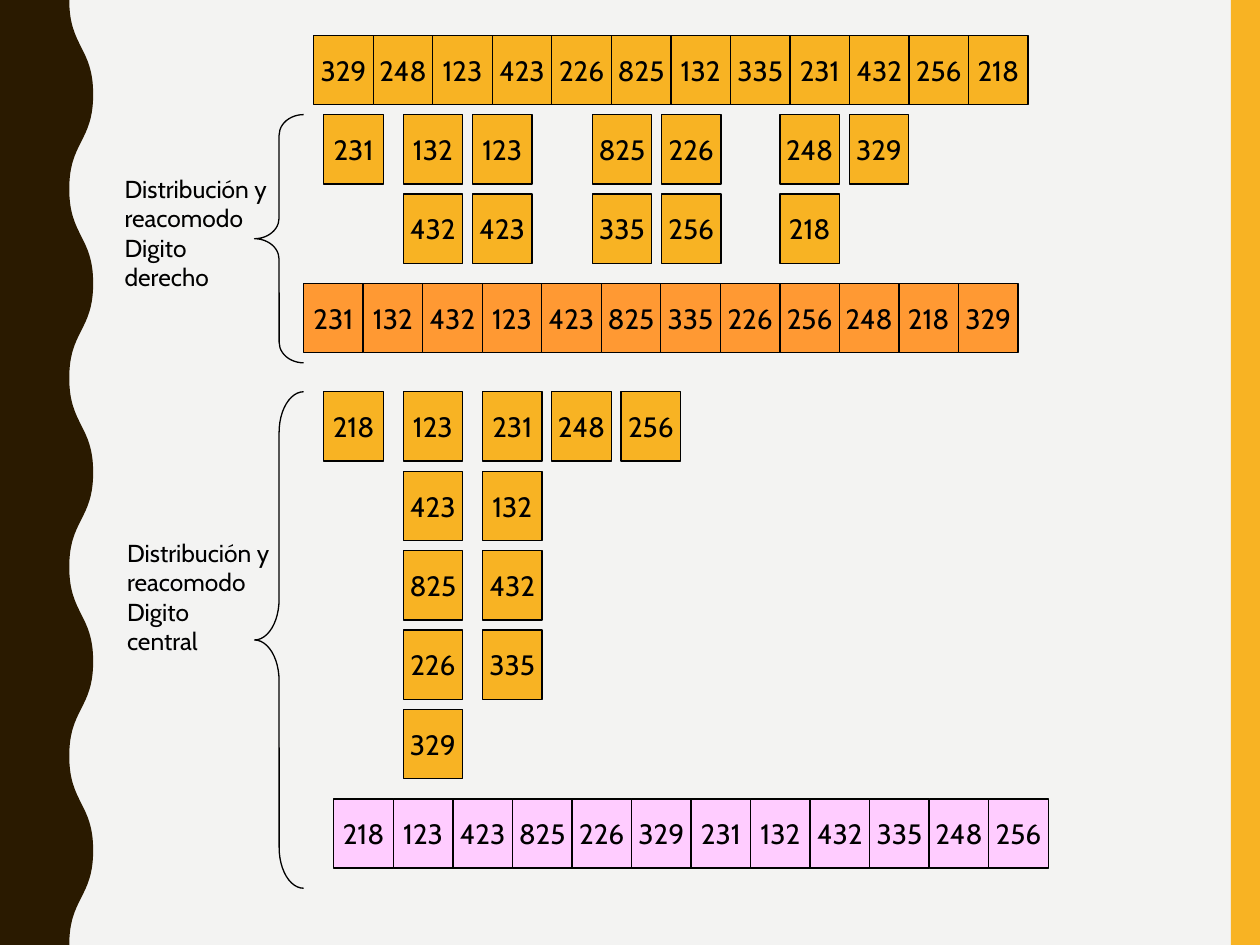
from dataclasses import dataclass
from itertools import pairwise
from typing import Any

from lxml.etree import SubElement
from pptx import Presentation
from pptx.dml.color import RGBColor
from pptx.enum.shapes import MSO_SHAPE as Preset
from pptx.enum.text import MSO_ANCHOR as Anchor, MSO_AUTO_SIZE as AutoSize, PP_ALIGN as Align
from pptx.oxml.ns import qn
from pptx.util import Inches, Pt

COLORS = {
    "background": "F3F3F2",
    "wave": "2A1A00",
    "amber": "F8B323",
    "orange": "FF9933",
    "pink": "FFCCFF",
    "ink": "000000",
}
CELL_WIDTH = 5.67 / 12
CELL_HEIGHT = 0.55
BUCKET_STEP = 0.63
BRACE_LEFT, BRACE_WIDTH = 2.02, 0.39
WAVE_VALLEY, WAVE_CREST, HALF_WAVE = 0.55, 0.74, 0.75

CELL_FRAME = {"word_wrap": False, "vertical_anchor": Anchor.MIDDLE}
LABEL_FRAME = {
    "word_wrap": True,
    "vertical_anchor": Anchor.TOP,
    "auto_size": AutoSize.SHAPE_TO_FIT_TEXT,
}
NUMBER_FONT = {"name": "Cabin", "size": Pt(16)}
LABEL_FONT = {"name": "Cabin", "size": Pt(14)}


@dataclass
class Row:
    left: float
    top: float
    color: str
    numbers: str


@dataclass
class Bucket:
    left: float
    numbers: str


@dataclass
class Label:
    left: float
    top: float
    height: float
    digit: str


@dataclass
class Stage:
    top: float
    brace_height: float
    brace_curve: float
    label: Label
    buckets: list[Bucket]
    rows: list[Row]


STAGES = [
    Stage(
        0.91, 1.97, 0.42, Label(0.89, 1.33, 1.26, "derecho"),
        [
            Bucket(2.57, "231"),
            Bucket(3.2, "132 432"),
            Bucket(3.75, "123 423"),
            Bucket(4.7, "825 335"),
            Bucket(5.25, "226 256"),
            Bucket(6.19, "248 218"),
            Bucket(6.74, "329"),
        ],
        [
            Row(2.49, 0.28, "amber", "329 248 123 423 226 825 132 335 231 432 256 218"),
            Row(2.41, 2.25, "orange", "231 132 432 123 423 825 335 226 256 248 218 329"),
        ],
    ),
    Stage(
        3.11, 3.94, 0.83, Label(0.91, 4.22, 1.03, "central"),
        [
            Bucket(2.57, "218"),
            Bucket(3.2, "123 423 825 226 329"),
            Bucket(3.83, "231 132 432 335"),
            Bucket(4.38, "248"),
            Bucket(4.93, "256"),
        ],
        [Row(2.65, 6.34, "pink", "218 123 423 825 226 329 231 132 432 335 248 256")],
    ),
]


def rgb(color: str) -> RGBColor:
    return RGBColor.from_string(COLORS[color])


def apply_format(target: Any, values: dict[str, Any]) -> None:
    for attribute, value in values.items():
        setattr(target, attribute, value)


def paint(shape: Any, color: str) -> None:
    shape.shadow.inherit = False
    shape.fill.solid()
    shape.fill.fore_color.rgb = rgb(color)
    shape.line.fill.background()


def outline(shape: Any) -> None:
    shape.line.color.rgb = rgb("ink")
    shape.line.width = Pt(0.75)


def write(paragraph: Any, text: str, font: dict[str, Any], align: Align) -> None:
    run = paragraph.add_run()
    run.text = text
    apply_format(run.font, font)
    run.font.color.rgb = rgb("ink")
    paragraph.alignment = align


def draw_cell(shapes: Any, left: float, top: float, color: str, number: str) -> None:
    cell = shapes.add_shape(
        Preset.RECTANGLE, Inches(left), Inches(top), Inches(CELL_WIDTH), Inches(CELL_HEIGHT)
    )
    paint(cell, color)
    outline(cell)
    apply_format(cell.text_frame, CELL_FRAME)
    write(cell.text_frame.paragraphs[0], number, NUMBER_FONT, Align.CENTER)


def draw_row(shapes: Any, row: Row) -> None:
    for column, number in enumerate(row.numbers.split()):
        draw_cell(shapes, row.left + column * CELL_WIDTH, row.top, row.color, number)


def draw_label(shapes: Any, label: Label) -> None:
    box = shapes.add_textbox(
        Inches(label.left), Inches(label.top), Inches(1.91), Inches(label.height)
    )
    frame = box.text_frame
    apply_format(frame, LABEL_FRAME)
    for index, text in enumerate(("Distribución y reacomodo", "Digito", label.digit)):
        paragraph = frame.add_paragraph() if index else frame.paragraphs[0]
        write(paragraph, text, LABEL_FONT, Align.LEFT)


def draw_stage(slide: Any, stage: Stage) -> None:
    shapes = slide.shapes.add_group_shape().shapes
    brace = shapes.add_shape(
        Preset.LEFT_BRACE,
        Inches(BRACE_LEFT), Inches(stage.top), Inches(BRACE_WIDTH), Inches(stage.brace_height),
    )
    brace.shadow.inherit = False
    brace.fill.background()
    outline(brace)
    brace.adjustments[0] = stage.brace_curve
    draw_label(shapes, stage.label)
    for bucket in stage.buckets:
        for level, number in enumerate(bucket.numbers.split()):
            draw_cell(shapes, bucket.left, stage.top + level * BUCKET_STEP, "amber", number)
    for row in stage.rows:
        draw_row(shapes, row)


def draw_wave(slide: Any) -> None:
    turns = [
        (Inches(WAVE_CREST if half % 2 else WAVE_VALLEY), Inches(half * HALF_WAVE))
        for half in range(11)
    ]
    builder = slide.shapes.build_freeform(*turns[0])
    builder.add_line_segments([*turns[1:], (0, Inches(7.5)), (0, 0)], close=True)
    wave = builder.convert_to_shape()
    paint(wave, "wave")
    segments = list(wave.element.iter(qn("a:lnTo")))
    for segment, ((x1, y1), (x2, y2)) in zip(segments, pairwise(turns)):
        curve = segment.getparent().makeelement(qn("a:cubicBezTo"))
        middle = (y1 + y2) // 2
        for x, y in ((x1, middle), (x2, middle), (x2, y2)):
            SubElement(curve, qn("a:pt"), x=str(x), y=str(y))
        segment.getparent().replace(segment, curve)


def draw_strip(slide: Any) -> None:
    strip = slide.shapes.add_shape(
        Preset.RECTANGLE, Inches(9.77), Inches(0), Inches(0.23), Inches(7.5)
    )
    paint(strip, "amber")


def main() -> None:
    deck = Presentation()
    apply_format(deck, {"slide_width": Inches(10), "slide_height": Inches(7.5)})
    slide = deck.slides.add_slide(deck.slide_layouts[6])
    slide.background.fill.solid()
    slide.background.fill.fore_color.rgb = rgb("background")
    draw_strip(slide)
    draw_wave(slide)
    for stage in STAGES:
        draw_stage(slide, stage)
    deck.save("out.pptx")


if __name__ == "__main__":
    main()
